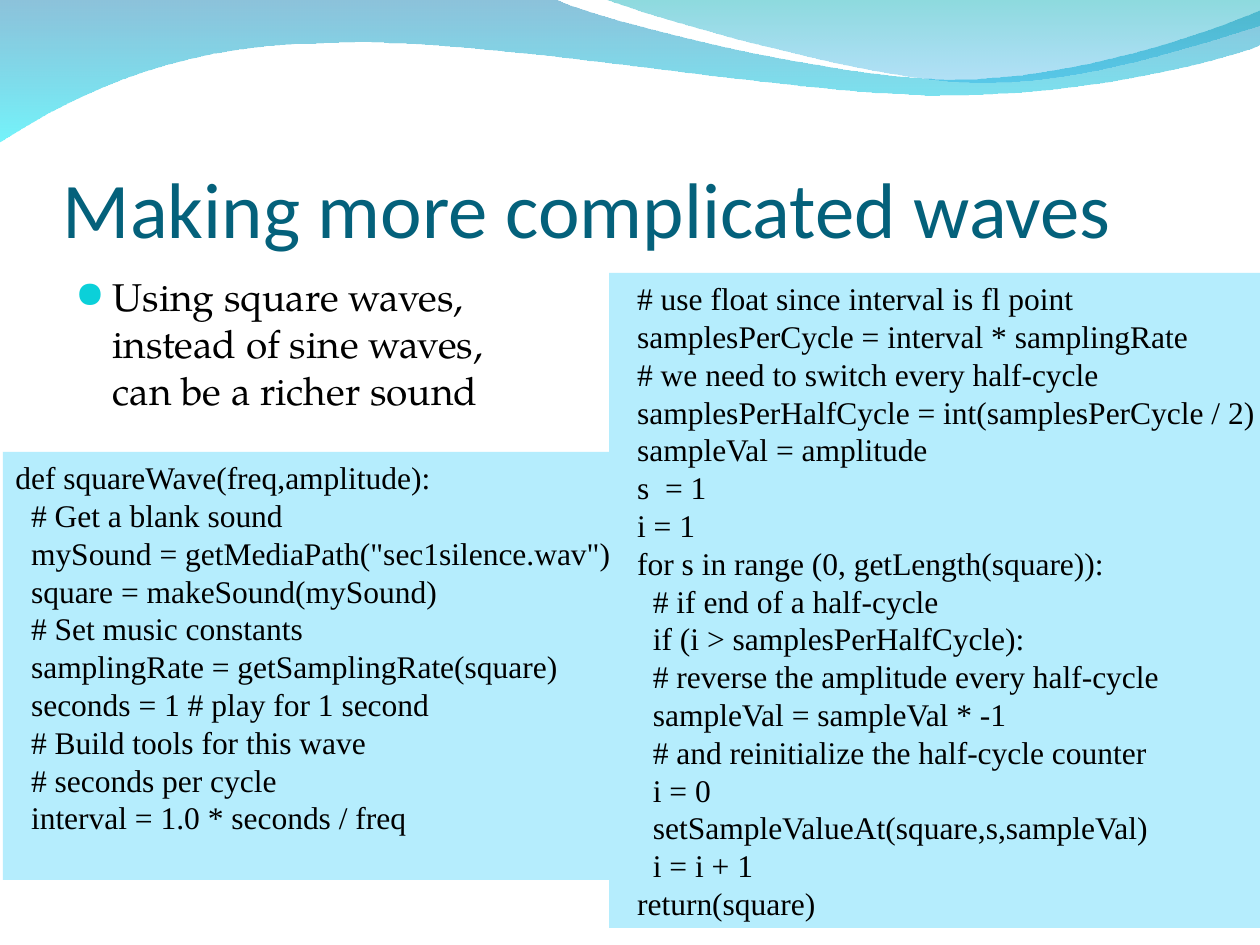
from dataclasses import dataclass

from lxml import etree
from pptx import Presentation
from pptx.dml.color import RGBColor
from pptx.enum.shapes import MSO_SHAPE
from pptx.enum.text import MSO_ANCHOR, PP_ALIGN
from pptx.oxml.ns import qn
from pptx.util import Emu, Pt

RECTANGLE = MSO_SHAPE.RECTANGLE
TOP, BOTTOM = MSO_ANCHOR.TOP, MSO_ANCHOR.BOTTOM
LEFT = PP_ALIGN.LEFT
EMU_PER_PX = 914400 / 126


@dataclass(frozen=True)
class Theme:
    code_fill: str = "B5EDFD"
    bullet: str = "0BD0D9"
    bullet_font: str = "OpenSymbol"
    title = {"name": "Calibri", "size": 45, "color": "04617B"}
    body = {"name": "TeX Gyre Pagella", "size": 22.2, "color": "000000"}
    code = {"name": "Times New Roman", "size": 18, "color": "000000"}


THEME = Theme()

TITLE = "Making more complicated waves"
POINT = "Using square waves, instead of sine waves, can be a richer sound"
SETUP_CODE = """\
def squareWave(freq,amplitude):
  # Get a blank sound
  mySound = getMediaPath("sec1silence.wav")
  square = makeSound(mySound)
  # Set music constants
  samplingRate = getSamplingRate(square)
  seconds = 1 # play for 1 second
  # Build tools for this wave
  # seconds per cycle
  interval = 1.0 * seconds / freq"""
LOOP_CODE = """\
  # use float since interval is fl point
  samplesPerCycle = interval * samplingRate
  # we need to switch every half-cycle
  samplesPerHalfCycle = int(samplesPerCycle / 2)
  sampleVal = amplitude
  s  = 1
  i = 1
  for s in range (0, getLength(square)):
    # if end of a half-cycle
    if (i > samplesPerHalfCycle):
    # reverse the amplitude every half-cycle
    sampleVal = sampleVal * -1
    # and reinitialize the half-cycle counter
    i = 0
    setSampleValueAt(square,s,sampleVal)
    i = i + 1
  return(square)"""

# Each step is one point for a line, or three points for a Bezier curve.
# Each stop is colour and opacity in percent, from top to bottom.
WAVES = [
    {"start": (0, -1),
     "steps": [[(554, -1)],
               [(600, 21), (837, 79), (955, 79)],
               [(1075, 79), (1207, 33), (1260, 11)],
               [(1261, 45)],
               [(1239, 55), (1096, 96), (940, 95)],
               [(784, 95), (481, 35), (324, 43)],
               [(163, 44), (58, 105), (-1, 142)]],
     "stops": [("0079AF", 45), ("00EBF8", 55)]},
    {"start": (604, -1),
     "steps": [[(641, 14), (859, 78), (969, 82)],
               [(1079, 87), (1211, 40), (1260, 26)],
               [(1260, 0)]],
     "stops": [("00ADB6", 45), ("009BE5", 30)]},
]
TITLE_BOX = (63, 97, 1134, 157)
POINT_BOX = (63, 267, 473, 174)
# Place, code, and whether long lines wrap.
CODE_BOXES = [((609, 273, 661, 655), LOOP_CODE, True),
              ((3, 452, 620, 428), SETUP_CODE, False)]


def px(length):
    return Emu(round(length * EMU_PER_PX))


def bend_segments(shape, steps):
    """Turn each run of three line segments that makes a curve into a Bezier."""
    segments = iter(list(shape._element.iter(qn("a:lnTo"))))
    for step in steps:
        first, *others = [next(segments) for _ in step]
        if others:
            first.tag = qn("a:cubicBezTo")
            for other in others:
                first.append(other[0])
                other.getparent().remove(other)


def add_wave(page, start, steps, stops):
    builder = page.shapes.build_freeform(*start, scale=EMU_PER_PX)
    builder.add_line_segments([point for step in steps for point in step], close=True)
    wave = builder.convert_to_shape()
    bend_segments(wave, steps)
    wave.shadow.inherit = False
    wave.line.fill.background()
    wave.fill.gradient()
    wave.fill.gradient_angle = 270
    for position, (stop, (color, _)) in enumerate(zip(wave.fill.gradient_stops, stops)):
        stop.position = position
        stop.color.rgb = RGBColor.from_string(color)
    for color_node, (_, opacity) in zip(wave._element.iter(qn("a:srgbClr")), stops):
        etree.SubElement(color_node, qn("a:alpha"), val=str(opacity * 1000))


def set_text(box, lines, style, **frame_format):
    frame = box.text_frame
    settings = {"word_wrap": True, "vertical_anchor": TOP, **frame_format}
    for name, value in settings.items():
        setattr(frame, name, value)
    for index, line in enumerate(lines):
        para = frame.add_paragraph() if index else frame.paragraphs[0]
        para.alignment = LEFT
        span = para.add_run()
        span.text = line
        span.font.name = style["name"]
        span.font.size = Pt(style["size"])
        span.font.color.rgb = RGBColor.from_string(style["color"])


def add_bullet(para, indent):
    properties = para._p.get_or_add_pPr()
    properties.set("marL", str(px(indent)))
    properties.set("indent", str(-px(indent)))
    color = etree.SubElement(properties, qn("a:buClr"))
    etree.SubElement(color, qn("a:srgbClr"), val=THEME.bullet)
    etree.SubElement(properties, qn("a:buSzPct"), val="95000")
    etree.SubElement(properties, qn("a:buFont"), typeface=THEME.bullet_font)
    etree.SubElement(properties, qn("a:buChar"), char="●")


def add_code(page, place, code, wrap):
    box = page.shapes.add_shape(RECTANGLE, *map(px, place))
    box.shadow.inherit = False
    box.fill.solid()
    box.fill.fore_color.rgb = RGBColor.from_string(THEME.code_fill)
    box.line.fill.background()
    set_text(box, code.splitlines(), THEME.code, word_wrap=wrap)


def main():
    deck = Presentation()
    deck.slide_width, deck.slide_height = px(1260), px(945)
    page = deck.slides.add_slide(deck.slide_layouts[6])
    for wave in WAVES:
        add_wave(page, **wave)
    title = page.shapes.add_textbox(*map(px, TITLE_BOX))
    set_text(title, [TITLE], THEME.title, vertical_anchor=BOTTOM,
             margin_left=0, margin_right=0, margin_bottom=0)
    point = page.shapes.add_textbox(*map(px, POINT_BOX))
    set_text(point, [POINT], THEME.body)
    add_bullet(point.text_frame.paragraphs[0], 37)
    for place, code, wrap in CODE_BOXES:
        add_code(page, place, code, wrap)
    deck.save("out.pptx")


if __name__ == "__main__":
    main()
